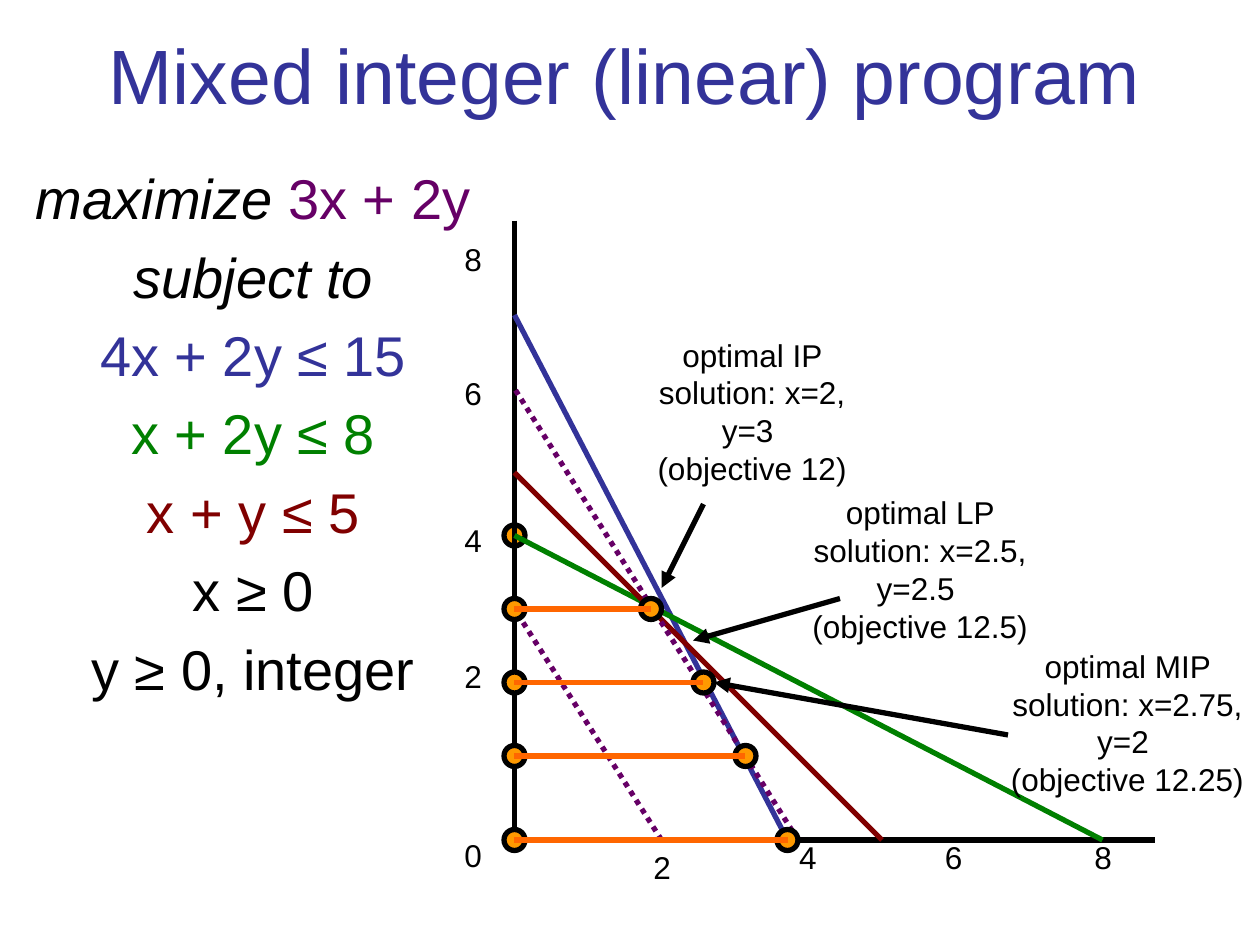
from dataclasses import dataclass

import lxml.etree
import pptx
import pptx.dml.color
import pptx.enum.dml
import pptx.enum.shapes
import pptx.enum.text
import pptx.oxml.ns
import pptx.util

RGB = pptx.dml.color.RGBColor
BLACK = RGB(0x00, 0x00, 0x00)
BLUE = RGB(0x33, 0x33, 0x99)
GREEN = RGB(0x00, 0x80, 0x00)
MAROON = RGB(0x80, 0x00, 0x00)
PURPLE = RGB(0x66, 0x00, 0x66)
AMBER = RGB(0xFF, 0x99, 0x00)
ORANGE = RGB(0xFF, 0x66, 0x00)

SCALE = 9525
FONT = "Arial"
LEFT, BASE = 392, 640
DOT = 16
ANCHOR = pptx.enum.text.MSO_ANCHOR
FIT = pptx.enum.text.MSO_AUTO_SIZE


@dataclass(frozen=True)
class Run:
    text: str
    color: RGB = BLACK
    italic: bool = False


@dataclass(frozen=True)
class Line:
    x1: int
    y1: int
    x2: int
    y2: int
    color: RGB = BLACK
    dotted: bool = False
    arrow: bool = False


@dataclass(frozen=True)
class Note:
    x: int
    y: int
    lines: tuple[str, str]
    arrow: Line


@dataclass(frozen=True)
class Row:
    y: int
    end: int


AXES = [Line(LEFT, 168, LEFT, BASE), Line(LEFT, BASE, 880, BASE)]
BOUNDS = [
    Line(LEFT, 240, 600, BASE, BLUE),
    Line(840, BASE, LEFT, 408, GREEN),
    Line(LEFT, 360, 672, BASE, MAROON),
    Line(504, BASE, LEFT, 464, PURPLE, dotted=True),
    Line(608, BASE, LEFT, 296, PURPLE, dotted=True),
]
ROWS = [Row(464, 496), Row(520, 536), Row(576, 568), Row(BASE, 600)]
TICKS = [
    ("0", 344, 632), ("2", 344, 496), ("4", 344, 392), ("6", 344, 280), ("8", 344, 178),
    ("2", 488, 641), ("4", 599, 634), ("6", 710, 634), ("8", 824, 634),
]
NOTES = [
    Note(600, 371, ("optimal LP solution: x=2.5, y=2.5 ", "(objective 12.5)"),
         Line(640, 456, 528, 488, arrow=True)),
    Note(472, 251, ("optimal IP solution: x=2, y=3 ", "(objective 12)"),
         Line(536, 384, 504, 448, arrow=True)),
    Note(758, 488, ("optimal MIP solution: x=2.75, y=2 ", "(objective 12.25)"),
         Line(768, 560, 544, 520, arrow=True)),
]
MODEL = [
    [Run("maximize ", italic=True), Run("3x + 2y", PURPLE)],
    [Run("subject to", italic=True)],
    [Run("4x + 2y ≤ 15", BLUE)],
    [Run("x + 2y ≤ 8", GREEN)],
    [Run("x + y ≤ 5", MAROON)],
    [Run("x ≥ 0")],
    [Run("y ≥ 0, integer")],
]


def px(n: int) -> int:
    return pptx.util.Emu(n * SCALE)


def style(item: object, form: dict[str, object]) -> None:
    for key, value in form.items():
        setattr(item, key, value)


def write(slide, box: tuple[int, int, int, int], paras: list[list[Run]],
          size: int, form: dict[str, object], gap: float = 0) -> None:
    frame = slide.shapes.add_textbox(*map(px, box)).text_frame
    style(frame, {"word_wrap": True, **form})
    for i, runs in enumerate(paras):
        para = frame.paragraphs[0] if i == 0 else frame.add_paragraph()
        style(para, {"alignment": pptx.enum.text.PP_ALIGN.CENTER,
                     "space_before": pptx.util.Pt(gap)})
        for part in runs:
            run = para.add_run()
            run.text = part.text
            style(run.font, {"name": FONT, "size": pptx.util.Pt(size),
                             "italic": part.italic})
            run.font.color.rgb = part.color


def draw(slide, line: Line) -> None:
    ends = map(px, (line.x1, line.y1, line.x2, line.y2))
    shape = slide.shapes.add_connector(pptx.enum.shapes.MSO_CONNECTOR.STRAIGHT, *ends)
    shape.line.color.rgb = line.color
    form = {"width": pptx.util.Pt(3)}
    if line.dotted:
        form["dash_style"] = pptx.enum.dml.MSO_LINE.ROUND_DOT
    style(shape.line, form)
    qn = pptx.oxml.ns.qn
    props = shape._element.spPr
    if line.arrow:
        lxml.etree.SubElement(props.find(qn("a:ln")), qn("a:tailEnd"), type="triangle")
    lxml.etree.SubElement(props, qn("a:effectLst"))


def mark(slide, x: int, y: int) -> None:
    box = (x - DOT // 2, y - DOT // 2, DOT, DOT)
    dot = slide.shapes.add_shape(pptx.enum.shapes.MSO_SHAPE.OVAL, *map(px, box))
    dot.shadow.inherit = False
    dot.fill.solid()
    dot.fill.fore_color.rgb = AMBER
    dot.line.color.rgb = BLACK
    dot.line.width = pptx.util.Pt(3)


def label(slide, note: Note) -> None:
    write(slide, (note.x, note.y, 202, 125), [[Run(text)] for text in note.lines],
          18, {"auto_size": FIT.SHAPE_TO_FIT_TEXT})


def main() -> None:
    deck = pptx.Presentation()
    style(deck, {"slide_width": px(960), "slide_height": px(720)})
    slide = deck.slides.add_slide(deck.slide_layouts[6])

    write(slide, (16, 8, 920, 96), [[Run("Mixed integer (linear) program", BLUE)]],
          44, {"vertical_anchor": ANCHOR.MIDDLE})
    write(slide, (0, 120, 386, 576), MODEL, 32, {}, gap=6.4)

    mark(slide, LEFT, 408)
    for line in AXES:
        draw(slide, line)
    for text, x, y in TICKS:
        write(slide, (x, y, 33, 38), [[Run(text)]], 18,
              {"word_wrap": False, "auto_size": FIT.SHAPE_TO_FIT_TEXT})
    for line in BOUNDS:
        draw(slide, line)

    for row in ROWS:
        mark(slide, LEFT, row.y)
        mark(slide, row.end, row.y)
    for row in ROWS:
        draw(slide, Line(LEFT, row.y, row.end, row.y, ORANGE))
    for note in NOTES:
        label(slide, note)
        draw(slide, note.arrow)

    deck.save("out.pptx")


if __name__ == "__main__":
    main()
